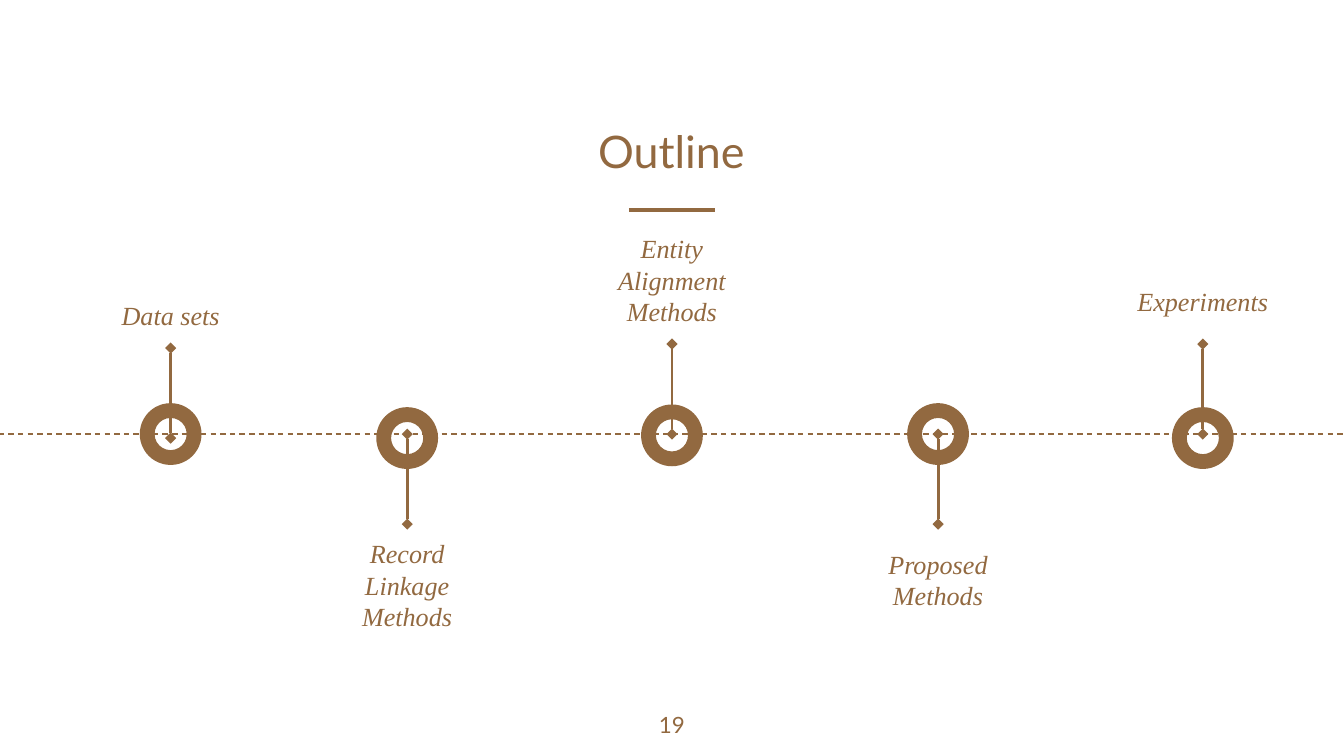
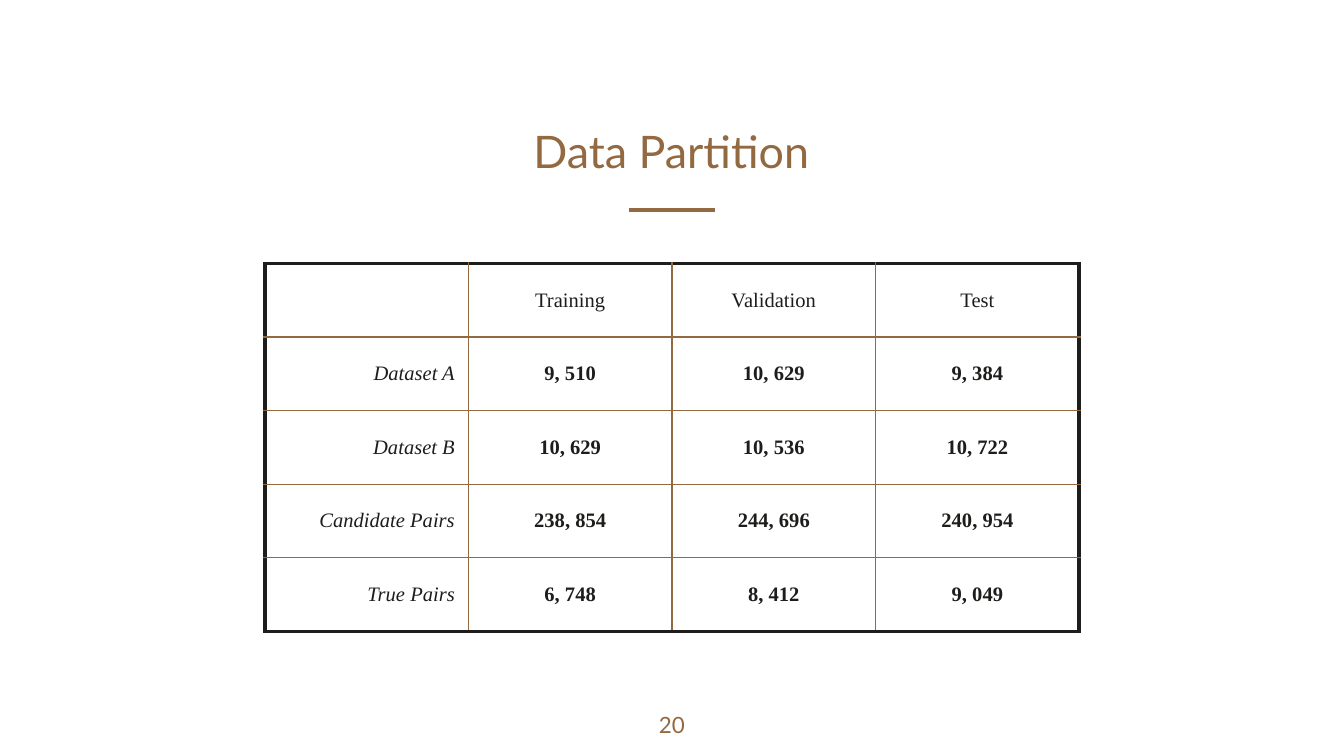
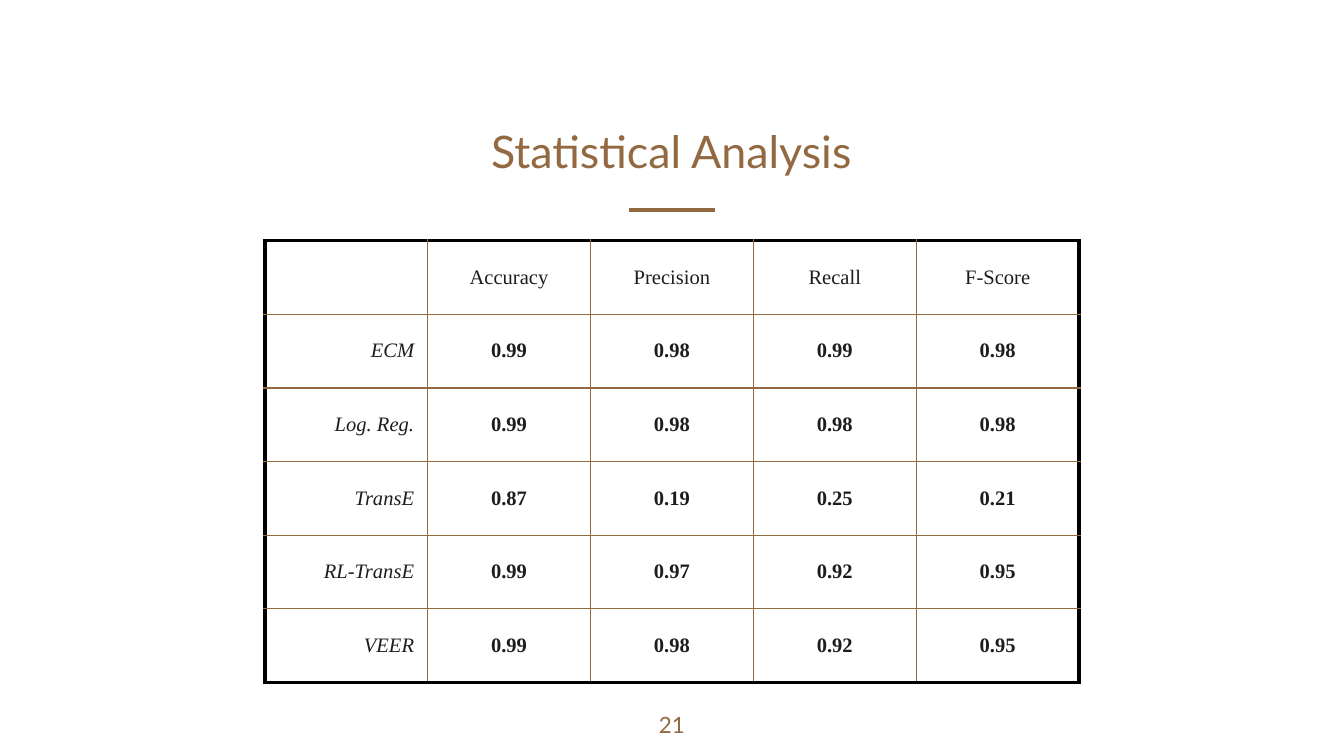
from dataclasses import dataclass
from typing import Optional

from lxml import etree
from pptx import Presentation
from pptx.dml.color import RGBColor
from pptx.enum.dml import MSO_LINE
from pptx.enum.shapes import MSO_CONNECTOR, MSO_SHAPE
from pptx.enum.text import MSO_ANCHOR, PP_ALIGN
from pptx.oxml.ns import qn
from pptx.util import Inches, Pt

STRAIGHT = MSO_CONNECTOR.STRAIGHT
DONUT = MSO_SHAPE.DONUT
DASH = MSO_LINE.DASH
CENTER, RIGHT = PP_ALIGN.CENTER, PP_ALIGN.RIGHT
TOP, MIDDLE, BOTTOM = MSO_ANCHOR.TOP, MSO_ANCHOR.MIDDLE, MSO_ANCHOR.BOTTOM


@dataclass(frozen=True)
class Theme:
    brown: str = "926940"
    ink: str = "1D1D1B"
    black: str = "000000"
    sans: str = "Lato"
    serif: str = "Times New Roman"
    title_size: float = 24
    label_size: float = 14
    number_size: float = 12
    cell_size: float = 11
    thin: float = 0.75
    medium: float = 1.5
    thick: float = 2.25


@dataclass(frozen=True)
class Box:
    left: float
    top: float
    width: float
    height: float

    def emu(self) -> tuple:
        return tuple(Inches(v) for v in (self.left, self.top, self.width, self.height))


@dataclass(frozen=True)
class TextStyle:
    font: str
    size: float
    color: str
    bold: bool = False
    italic: bool = False
    align: PP_ALIGN = CENTER


@dataclass(frozen=True)
class Milestone:
    label: str
    center: float
    label_top: float
    stem_outer: float
    stem_inner: float
    ring_top: float


@dataclass(frozen=True)
class ResultTable:
    title: str
    number: int
    top: float
    height: float
    frame_color: str
    rows: tuple


THEME = Theme()
TITLE_STYLE = TextStyle(THEME.sans, THEME.title_size, THEME.brown)
NUMBER_STYLE = TextStyle(THEME.sans, THEME.number_size, THEME.brown)
LABEL_STYLE = TextStyle(THEME.serif, THEME.label_size, THEME.brown, italic=True)
HEADING_STYLE = TextStyle(THEME.serif, THEME.cell_size, THEME.ink)
ROW_NAME_STYLE = TextStyle(THEME.serif, THEME.cell_size, THEME.ink, italic=True, align=RIGHT)
VALUE_STYLE = TextStyle(THEME.serif, THEME.cell_size, THEME.ink, bold=True)

SLIDE_WIDTH = Inches(10)
SLIDE_HEIGHT = SLIDE_WIDTH * 9 // 16
TITLE_BOX = Box(2.06, 0.48, 5.87, 0.94)
NUMBER_BOX = Box(4.7, 5.19, 0.6, 0.43)
LABEL_WIDTH, LABEL_HEIGHT = 1.36, 0.45
RING_SIZE = 0.46
TABLE_LEFT, TABLE_WIDTH = 1.97, 6.06

MILESTONES = (
    Milestone("Data sets", 1.27, 2.13, 2.59, 3.26, 3.0),
    Milestone("Record Linkage Methods", 3.03, 3.9, 3.9, 3.23, 3.03),
    Milestone("Entity Alignment Methods", 5.0, 1.63, 2.56, 3.23, 3.01),
    Milestone("Proposed Methods", 6.98, 3.98, 3.9, 3.23, 3.0),
    Milestone("Experiments", 8.95, 2.02, 2.56, 3.23, 3.03),
)

RESULT_TABLES = (
    ResultTable("Data Partition", 20, 1.96, 2.74, THEME.ink, (
        ("", "Training", "Validation", "Test"),
        ("Dataset A", "9, 510", "10, 629", "9, 384"),
        ("Dataset B", "10, 629", "10, 536", "10, 722"),
        ("Candidate Pairs", "238, 854", "244, 696", "240, 954"),
        ("True Pairs", "6, 748", "8, 412", "9, 049"),
    )),
    ResultTable("Statistical Analysis", 21, 1.79, 3.29, THEME.black, (
        ("", "Accuracy", "Precision", "Recall", "F-Score"),
        ("ECM", "0.99", "0.98", "0.99", "0.98"),
        ("Log. Reg.", "0.99", "0.98", "0.98", "0.98"),
        ("TransE", "0.87", "0.19", "0.25", "0.21"),
        ("RL-TransE", "0.99", "0.97", "0.92", "0.95"),
        ("VEER", "0.99", "0.98", "0.92", "0.95"),
    )),
)


def write_text(frame, text: str, style: TextStyle) -> None:
    frame.text = text
    paragraph = frame.paragraphs[0]
    paragraph.alignment = style.align
    font = paragraph.runs[0].font if paragraph.runs else paragraph.font
    font.name = style.font
    font.size = Pt(style.size)
    font.bold = style.bold
    font.italic = style.italic
    font.color.rgb = RGBColor.from_string(style.color)


def add_text(slide, box: Box, text: str, style: TextStyle, anchor: MSO_ANCHOR = TOP) -> None:
    frame = slide.shapes.add_textbox(*box.emu()).text_frame
    frame.word_wrap = True
    frame.vertical_anchor = anchor
    frame.margin_left = frame.margin_right = Inches(0.1)
    frame.margin_top = frame.margin_bottom = Inches(0.1)
    write_text(frame, text, style)


def add_line(slide, start: tuple, end: tuple, width: float,
             dash: Optional[MSO_LINE] = None, diamonds: bool = False) -> None:
    points = [Inches(v) for v in (*start, *end)]
    connector = slide.shapes.add_connector(STRAIGHT, *points)
    connector.line.color.rgb = RGBColor.from_string(THEME.brown)
    connector.line.width = Pt(width)
    if dash is not None:
        connector.line.dash_style = dash
    properties = connector._element.spPr
    if diamonds:
        outline = properties.find(qn("a:ln"))
        for end_tag in ("a:headEnd", "a:tailEnd"):
            etree.SubElement(outline, qn(end_tag), type="diamond")
    etree.SubElement(properties, qn("a:effectLst"))


def add_ring(slide, box: Box) -> None:
    ring = slide.shapes.add_shape(DONUT, *box.emu())
    ring.adjustments[0] = 0.24
    ring.shadow.inherit = False
    ring.fill.solid()
    ring.fill.fore_color.rgb = RGBColor.from_string(THEME.brown)
    ring.line.fill.background()


def add_base_slide(presentation, title: str, number: int):
    slide = presentation.slides.add_slide(presentation.slide_layouts[6])
    add_line(slide, (4.68, 1.56), (5.32, 1.56), THEME.thick)
    add_text(slide, TITLE_BOX, title, TITLE_STYLE, BOTTOM)
    add_text(slide, NUMBER_BOX, str(number), NUMBER_STYLE)
    return slide


def add_milestone(slide, milestone: Milestone) -> None:
    center = milestone.center
    add_ring(slide, Box(center - RING_SIZE / 2, milestone.ring_top, RING_SIZE, RING_SIZE))
    add_line(slide, (center, milestone.stem_outer), (center, milestone.stem_inner),
             THEME.medium, diamonds=True)
    label_box = Box(center - LABEL_WIDTH / 2, milestone.label_top, LABEL_WIDTH, LABEL_HEIGHT)
    add_text(slide, label_box, milestone.label, LABEL_STYLE)


def set_borders(cell, outer_sides: dict, frame_color: str) -> None:
    properties = cell._tc.get_or_add_tcPr()
    for side, is_outer in outer_sides.items():
        width, color = (THEME.thick, frame_color) if is_outer else (THEME.thin, THEME.brown)
        border = etree.SubElement(properties, qn(f"a:ln{side}"), w=str(Pt(width)))
        fill = etree.SubElement(border, qn("a:solidFill"))
        etree.SubElement(fill, qn("a:srgbClr"), val=color)


def cell_style(row: int, column: int) -> TextStyle:
    if row == 0:
        return HEADING_STYLE
    return ROW_NAME_STYLE if column == 0 else VALUE_STYLE


def add_result_table(slide, content: ResultTable) -> None:
    row_count, column_count = len(content.rows), len(content.rows[0])
    box = Box(TABLE_LEFT, content.top, TABLE_WIDTH, content.height)
    table = slide.shapes.add_table(row_count, column_count, *box.emu()).table
    table.first_row = table.horz_banding = False
    for r, values in enumerate(content.rows):
        for c, value in enumerate(values):
            cell = table.cell(r, c)
            cell.vertical_anchor = MIDDLE
            cell.margin_left = cell.margin_right = Inches(0.1)
            cell.margin_top = cell.margin_bottom = Inches(0.07)
            write_text(cell.text_frame, value, cell_style(r, c))
            outer_sides = {"L": c == 0, "R": c == column_count - 1,
                           "T": r == 0, "B": r == row_count - 1}
            set_borders(cell, outer_sides, content.frame_color)
            cell.fill.background()


def main() -> None:
    presentation = Presentation()
    presentation.slide_width = SLIDE_WIDTH
    presentation.slide_height = SLIDE_HEIGHT

    outline = add_base_slide(presentation, "Outline", 19)
    add_line(outline, (-0.01, 3.23), (10.01, 3.23), THEME.thin, dash=DASH)
    for milestone in MILESTONES:
        add_milestone(outline, milestone)

    for content in RESULT_TABLES:
        slide = add_base_slide(presentation, content.title, content.number)
        add_result_table(slide, content)

    presentation.save("out.pptx")


if __name__ == "__main__":
    main()
